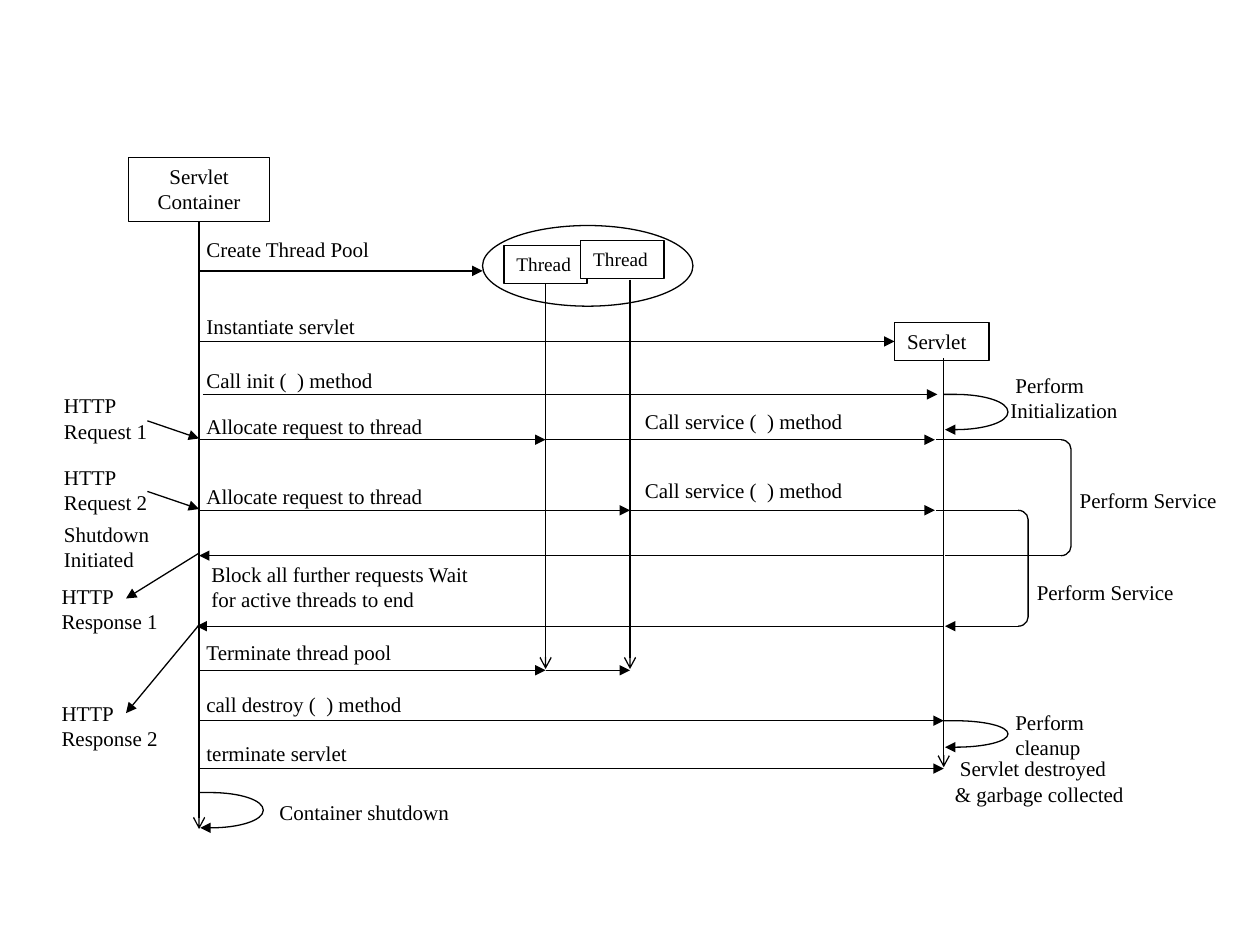
import pptx
import pptx.dml.color
import pptx.enum.shapes
import pptx.enum.text
import pptx.oxml
import pptx.oxml.ns
import pptx.util
from pptx.util import Inches

BLACK = pptx.dml.color.RGBColor(0, 0, 0)
WHITE = pptx.dml.color.RGBColor(255, 255, 255)
FONT = "Times New Roman"
SHAPE = pptx.enum.shapes.MSO_SHAPE
LOOP_CURVE = ((0, 0), (0.06, 0), (0.12, 0), (0.18, 0), (0.63, 0), (1, 0.21), (1, 0.5),
              (1, 0.79), (0.63, 1), (0.18, 1), (0.13, 1), (0.07, 1), (0.02, 1))


def style_line(line, head=None):
    """Give a line the common pen and an optional arrowhead."""
    line.color.rgb = BLACK
    line.width = pptx.util.Pt(0.75)
    if head:
        namespace = pptx.oxml.ns.nsdecls("a")
        line._get_or_add_ln().append(
            pptx.oxml.parse_xml(f'<a:tailEnd {namespace} type="{head}"/>'))


def write(shape, text, size=12, align=pptx.enum.text.PP_ALIGN.LEFT, indent=0):
    """Put one wrapped paragraph into a shape."""
    frame = shape.text_frame
    frame.word_wrap = True
    frame.auto_size = pptx.enum.text.MSO_AUTO_SIZE.SHAPE_TO_FIT_TEXT
    frame.vertical_anchor = pptx.enum.text.MSO_ANCHOR.TOP
    paragraph = frame.paragraphs[0]
    paragraph.text = text
    paragraph.alignment = align
    if indent:
        paragraph._p.get_or_add_pPr().set("indent", str(Inches(indent)))
    paragraph.font.size = pptx.util.Pt(size)
    paragraph.font.name = FONT
    paragraph.font.color.rgb = BLACK


def add_label(shapes, text, left, top, width, height=0.3, indent=0):
    """Add a plain text label."""
    label = shapes.add_textbox(*map(Inches, (left, top, width, height)))
    write(label, text, indent=indent)


def add_outline(shapes, kind, left, top, width, height, fill=None):
    """Add an outlined preset shape, hollow unless a fill is given."""
    shape = shapes.add_shape(kind, *map(Inches, (left, top, width, height)))
    shape.shadow.inherit = False
    if fill is None:
        shape.fill.background()
    else:
        shape.fill.solid()
        shape.fill.fore_color.rgb = fill
    style_line(shape.line)
    return shape


def add_arrow(shapes, x1, y1, x2, y2, head="triangle"):
    """Add a straight connector with an optional arrowhead."""
    arrow = shapes.add_connector(
        pptx.enum.shapes.MSO_CONNECTOR.STRAIGHT, *map(Inches, (x1, y1, x2, y2)))
    style_line(arrow.line, head)
    arrow._element.spPr.append(
        pptx.oxml.parse_xml(f'<a:effectLst {pptx.oxml.ns.nsdecls("a")}/>'))
    return arrow


def add_self_call(shapes, left, top, width, height):
    """Add a curved arrow, made of cubic curves, that returns to its lifeline."""
    points = [(Inches(left + width * x), Inches(top + height * y)) for x, y in LOOP_CURVE]
    builder = shapes.build_freeform(*points[0])
    builder.add_line_segments(points[1:], close=False)
    loop = builder.convert_to_shape()
    segments = list(loop._element.iter(pptx.oxml.ns.qn("a:lnTo")))
    for first in range(0, len(segments), 3):
        curve = pptx.oxml.parse_xml(f'<a:cubicBezTo {pptx.oxml.ns.nsdecls("a")}/>')
        segments[first].addprevious(curve)
        for segment in segments[first:first + 3]:
            curve.append(segment[0])
            segment.getparent().remove(segment)
    loop.shadow.inherit = False
    loop.fill.background()
    style_line(loop.line, "triangle")


def add_container(shapes, left, top):
    """Build the container, its lifeline and its shutdown; return the lifeline x."""
    width, height = 1.12, 0.51
    axis = left + width / 2
    box = add_outline(shapes, SHAPE.RECTANGLE, left, top, width, height)
    write(box, "Servlet Container", align=pptx.enum.text.PP_ALIGN.CENTER)
    lifeline = add_arrow(shapes, axis, top + height, axis, top + 5.33, "arrow")
    lifeline.begin_connect(box, 2)
    add_self_call(shapes, axis, top + 5.04, 0.51, 0.28)
    add_label(shapes, "Container shutdown", axis + 0.54, top + 5.05, 1.67)
    return axis


def add_thread_pool(shapes, left, top, width, height):
    """Build the pool ellipse with two threads; return their lifeline x values."""
    add_outline(shapes, SHAPE.OVAL, left, top, width, height)
    axes = left + 0.5, left + 1.17
    threads = []
    for offset_x, offset_y in ((0.17, 0.16), (0.78, 0.12)):
        thread = add_outline(shapes, SHAPE.RECTANGLE, left + offset_x,
                             top + offset_y, 0.66, 0.3, WHITE)
        write(thread, "Thread", 11)
        threads.append(thread)
    first, second = (add_arrow(shapes, axis, top + 0.43, axis, top + 3.52, "arrow")
                     for axis in axes)
    first.begin_connect(threads[0], 2)
    return axes


def add_servlet(shapes, left, top, width, height):
    """Build the servlet, its lifeline and self calls; return box and lifeline x."""
    axis = left + 0.39
    box = add_outline(shapes, SHAPE.RECTANGLE, left, top, width, height, WHITE)
    write(box, "Servlet")
    add_arrow(shapes, axis, top + 0.28, axis, top + 3.53, "arrow")
    add_self_call(shapes, axis, top + 0.57, 0.51, 0.28)
    add_self_call(shapes, axis, top + 3.16, 0.51, 0.21)
    add_label(shapes, "Perform Initialization", axis + 0.43, top + 0.35, 1.08, 0.5, 0.04)
    add_label(shapes, "Perform cleanup", axis + 0.47, top + 3.02, 0.75, 0.5)
    add_label(shapes, "Servlet destroyed & garbage collected",
              axis - 0.01, top + 3.39, 1.54, 0.5, 0.04)
    return box, axis


def add_service(shapes, left, top, width, height, label_drop, head=None):
    """Build a service span: out, down a bracket and back."""
    right, bottom = left + width, top + height
    bracket = add_outline(shapes, SHAPE.RIGHT_BRACKET, right, top, 0.08, height)
    bracket.adjustments[0] = 0.92
    add_arrow(shapes, left, top, right, top, None)
    add_arrow(shapes, right, bottom, left + 0.07, bottom, head)
    add_label(shapes, "Perform Service", right + 0.05, top + label_drop, 1.42)


def add_messages(shapes, container, threads, servlet, servlet_box):
    """Draw the labelled messages between the lifelines."""
    routes = (
        ("Create Thread Pool", 1.83, 2.15, (container, 3.83)),
        ("Instantiate servlet", 2.44, 2.71, (container, 7.1)),
        ("Call init (  ) method", 2.87, 3.13, (container + 0.03, servlet - 0.05)),
        ("Allocate request to thread", 3.23, 3.49, (container, threads[0], servlet - 0.07)),
        ("Allocate request to thread", 3.79, 4.05, (container, threads[1], servlet - 0.07)),
        ("Terminate thread pool", 5.03, 5.32, (container, *threads)),
        ("call destroy (  ) method", 5.44, 5.72, (container, servlet)),
        ("terminate servlet", 5.83, 6.1, (container, servlet)),
    )
    for text, label_top, y, stops in routes:
        add_label(shapes, text, container - 0.04, label_top, 2.17)
        for start, end in zip(stops, stops[1:]):
            arrow = add_arrow(shapes, start, y, end, y)
        if text == "Instantiate servlet":
            arrow.end_connect(servlet_box, 1)
    for label_top in (3.19, 3.74):
        add_label(shapes, "Call service (  ) method", threads[1] + 0.02, label_top, 1.83)
    add_arrow(shapes, servlet, 4.41, container, 4.41)
    add_arrow(shapes, servlet, 4.97, container - 0.02, 4.97)
    add_label(shapes, "Block all further requests Wait for active threads to end",
              container, 4.41, 2.25, 0.5)


def add_clients(shapes, left, top, right):
    """Draw the requests and responses left of the container lifeline."""
    labels = (("HTTP Request 1", 0), ("HTTP Request 2", 0.57),
              ("Shutdown Initiated", 1.02), ("HTTP Response 1", 1.51),
              ("HTTP Response 2", 2.44))
    for text, drop in labels:
        shift = 0.02 if "Response" in text else 0
        add_label(shapes, text, left - shift, top + drop, 1.04, 0.5)
    for drop in (0.27, 0.83):
        add_arrow(shapes, left + 0.76, top + drop, right, top + drop + 0.14)
    for start, end in ((1.32, 1.68), (1.89, 2.59)):
        add_arrow(shapes, right, top + start, left + 0.59, top + end)


def main():
    """Build the servlet life cycle sequence diagram."""
    deck = pptx.Presentation()
    deck.slide_width, deck.slide_height = Inches(10), Inches(7.5)
    slide = deck.slides.add_slide(deck.slide_layouts[6])
    shapes = slide.shapes.add_group_shape().shapes
    container = add_container(shapes, 1.02, 1.25)
    threads = add_thread_pool(shapes, 3.83, 1.79, 1.67, 0.64)
    servlet_box, servlet = add_servlet(shapes, 7.1, 2.56, 0.75, 0.3)
    add_service(shapes, 7.43, 3.49, 0.99, 0.92, 0.33)
    add_service(shapes, 7.43, 4.05, 0.65, 0.92, 0.5, "triangle")
    add_messages(shapes, container, threads, servlet, servlet_box)
    add_clients(shapes, 0.41, 3.07, container)
    deck.save("out.pptx")


if __name__ == "__main__":
    main()
